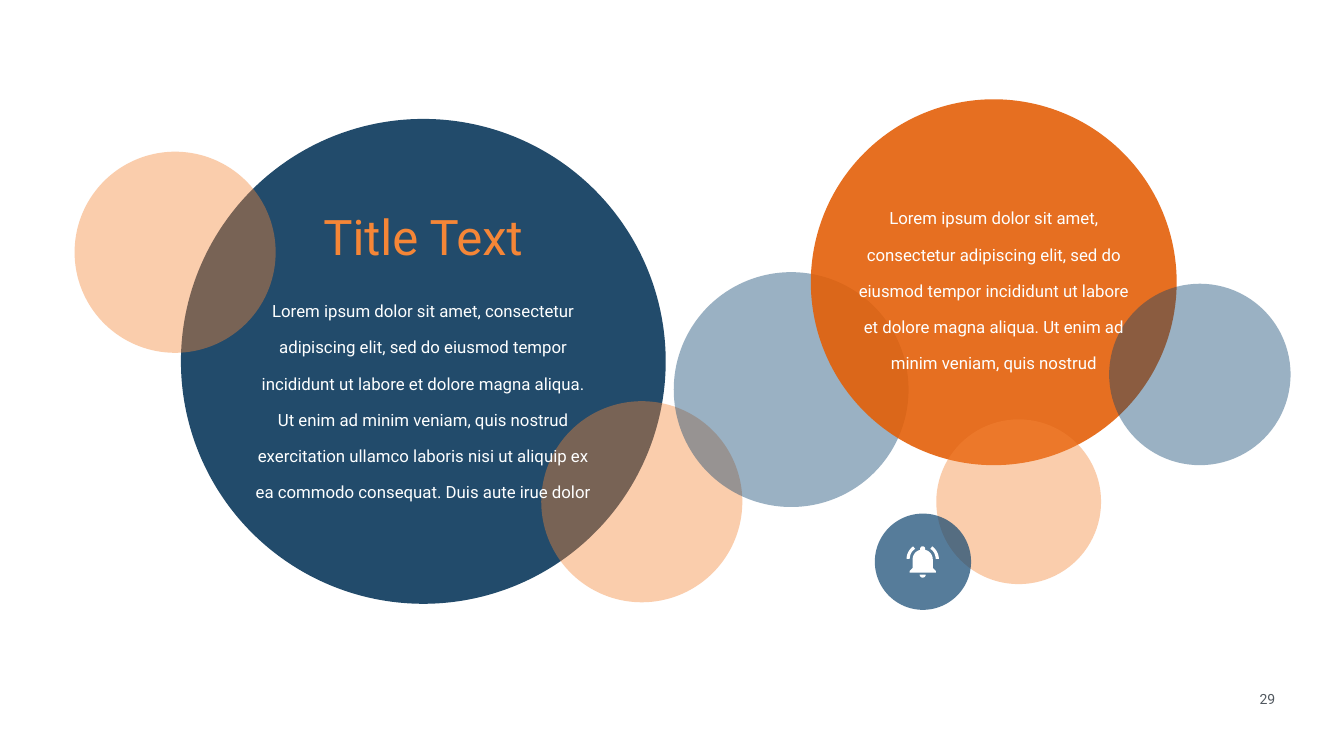
from lxml import etree
from pptx import Presentation
from pptx.dml.color import RGBColor
from pptx.enum.shapes import MSO_SHAPE as Preset
from pptx.enum.text import PP_ALIGN as Align
from pptx.oxml.ns import qn
from pptx.util import Inches, Pt

NAVY = RGBColor(0x07, 0x35, 0x59)
BLUE = RGBColor(0x0B, 0x42, 0x6E)
ORANGE = RGBColor(0xE4, 0x5E, 0x06)
PEACH = RGBColor(0xF5, 0x86, 0x37)
WHITE = RGBColor(0xFF, 0xFF, 0xFF)
SOFT_WHITE = RGBColor(0xFE, 0xFF, 0xFF)
GRAY = RGBColor(0x51, 0x58, 0x5F)

SHORT_TEXT = (
    "Lorem ipsum dolor sit amet, consectetur adipiscing elit, sed do eiusmod "
    "tempor incididunt ut labore et dolore magna aliqua. Ut enim ad minim "
    "veniam, quis nostrud"
)
LONG_TEXT = SHORT_TEXT + (
    " exercitation ullamco laboris nisi ut aliquip ex ea commodo consequat. "
    "Duis aute irue dolor"
)
BELL_CENTER = 18.31
UNITS_PER_INCH = 1000


def paint(shape, color, opacity=100):
    shape.shadow.inherit = False
    shape.line.fill.background()
    shape.fill.solid()
    shape.fill.fore_color.rgb = color
    if opacity < 100:
        color_element = shape.fill._xPr.find(qn("a:solidFill"))[0]
        alpha = etree.SubElement(color_element, qn("a:alpha"))
        alpha.set("val", str(opacity * 1000))


def add_circle(page, left, top, diameter, color, opacity):
    size = Inches(diameter)
    circle = page.shapes.add_shape(Preset.OVAL, Inches(left), Inches(top), size, size)
    paint(circle, color, opacity)


def add_text(page, text, left, top, width, height, *, size, color,
             spacing=None, inset=None):
    box = page.shapes.add_textbox(*map(Inches, (left, top, width, height)))
    frame = box.text_frame
    frame.word_wrap = True
    if inset is not None:
        frame.margin_left = frame.margin_right = Inches(inset)
        frame.margin_top = frame.margin_bottom = Inches(inset)
    para = frame.paragraphs[0]
    para.alignment = Align.CENTER
    para.line_spacing = spacing
    span = para.add_run()
    span.text = text
    span.font.name = "Roboto"
    span.font.size = Pt(size)
    span.font.color.rgb = color


def curve(*controls, steps=10):
    points = []
    for step in range(steps + 1):
        t = step / steps
        weights = ((1 - t) ** 3, 3 * t * (1 - t) ** 2, 3 * t * t * (1 - t), t ** 3)
        points.append(tuple(
            sum(weight * point[axis] for weight, point in zip(weights, controls))
            for axis in (0, 1)
        ))
    return points


def mirror(points):
    return [(2 * BELL_CENTER - x, y) for x, y in reversed(points)]


def add_bell(page):
    wave = [
        *curve((18.12, 10.84), (18.04, 10.9), (17.99, 10.99), (17.99, 11.09)),
        *curve((18.05, 11.09), (18.06, 11), (18.09, 10.93), (18.16, 10.89)),
    ]
    half_body = [
        *curve((18.31, 10.84), (18.28, 10.84), (18.26, 10.86), (18.26, 10.89)),
        *curve((18.26, 10.91), (18.17, 10.93), (18.11, 11.01), (18.11, 11.1)),
        (18.11, 11.27), (18.05, 11.33), (18.05, 11.36),
    ]
    half_clapper = curve((18.25, 11.4), (18.25, 11.43), (18.27, 11.46), (18.31, 11.46))
    contours = [
        wave,
        mirror(wave),
        half_body + mirror(half_body),
        half_clapper + mirror(half_clapper),
    ]
    builder = None
    for contour in contours:
        start, *rest = [(x * UNITS_PER_INCH, y * UNITS_PER_INCH) for x, y in contour]
        if builder is None:
            builder = page.shapes.build_freeform(*start, scale=Inches(1) / UNITS_PER_INCH)
        else:
            builder.move_to(*start)
        builder.add_line_segments(rest, close=True)
    paint(builder.convert_to_shape(), WHITE)


def main():
    deck = Presentation()
    deck.slide_width, deck.slide_height = Inches(26.67), Inches(15)
    page = deck.slides.add_slide(deck.slide_layouts[6])

    add_text(page, "29", 24.66, 13.66, 0.98, 0.42, size=20, color=GRAY, inset=0.04)
    for circle in (
        (3.59, 2.36, 9.62, NAVY, 89),
        (10.74, 7.96, 3.99, PEACH, 41),
        (13.37, 5.4, 4.66, BLUE, 41),
        (16.09, 1.97, 7.26, ORANGE, 89),
        (18.58, 8.32, 3.27, PEACH, 41),
        (17.36, 10.19, 1.91, BLUE, 69),
        (1.48, 3.01, 3.99, PEACH, 41),
        (22.01, 5.63, 3.6, BLUE, 41),
    ):
        add_circle(page, *circle)
    add_bell(page)
    add_text(page, LONG_TEXT, 4.95, 5.6, 6.89, 4.46,
             size=24, color=SOFT_WHITE, spacing=1.8)
    add_text(page, "Title Text", 5.91, 4.05, 4.97, 1.32,
             size=70, color=PEACH, inset=0.04)
    add_text(page, SHORT_TEXT, 16.85, 3.76, 5.74, 3.74,
             size=24, color=SOFT_WHITE, spacing=1.8)

    deck.save("out.pptx")


if __name__ == "__main__":
    main()
